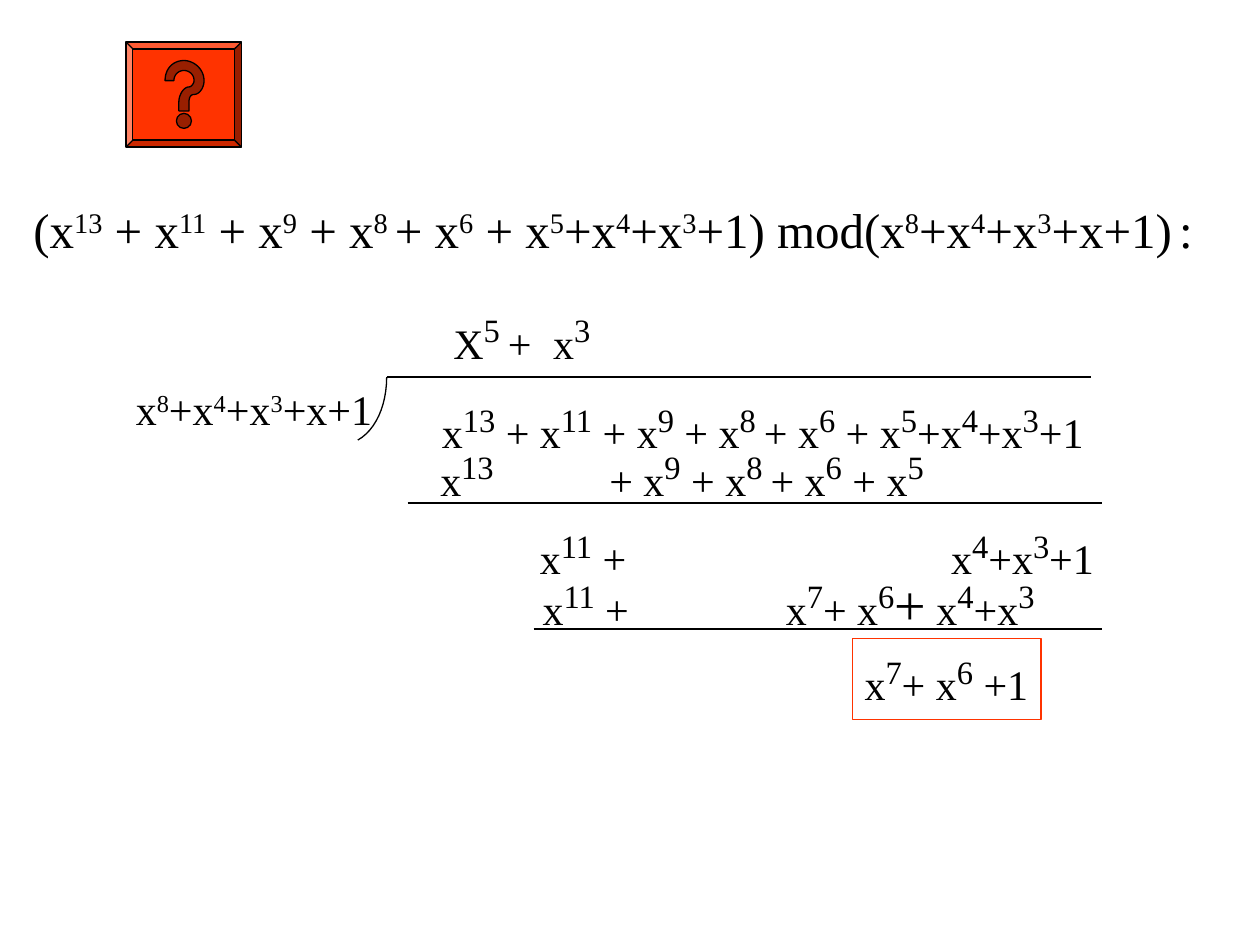
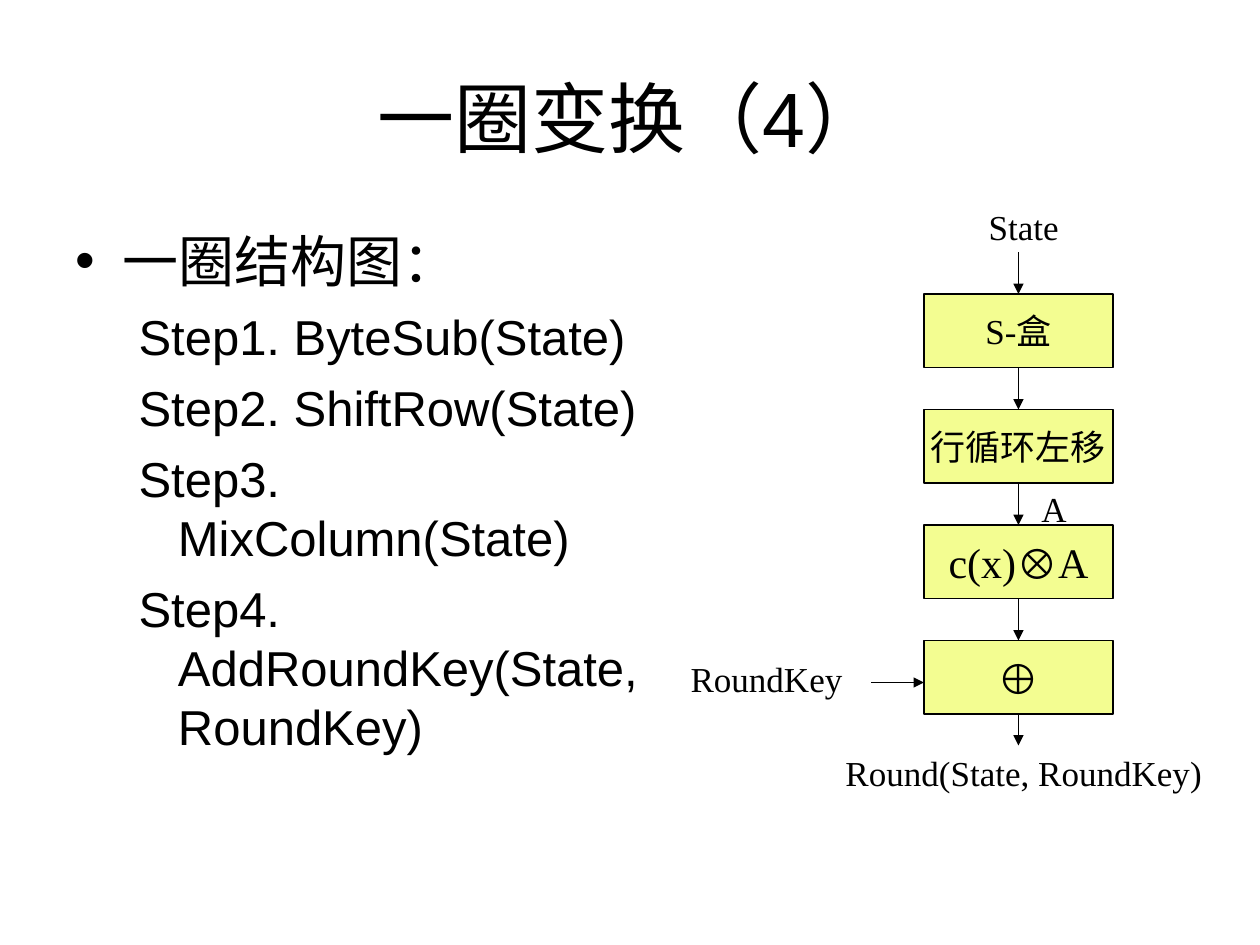
import pptx
import pptx.util
import pptx.dml.color
import pptx.enum.shapes
import pptx.enum.text
import pptx.oxml.ns
from lxml import etree

Pt = pptx.util.Pt
SHAPE = pptx.enum.shapes.MSO_SHAPE
ALIGN = pptx.enum.text.PP_ALIGN
ANCHOR = pptx.enum.text.MSO_ANCHOR

COLORS = {
    "ink": "000000",
    "red": "FF3300",
    "dark red": "991F00",
    "box": "F3FD91",
}
SERIF, SANS = "Times New Roman", "Arial"


def rgb(name):
    return pptx.dml.color.RGBColor.from_string(COLORS[name])


def add_xml(parent, tag, **attributes):
    return etree.SubElement(parent, pptx.oxml.ns.qn(tag), attributes)


def polynomial(markup, power_size=32):
    """Turn "x{8}+x" into runs, with the parts in braces raised."""
    parts = markup.replace("}", "{").split("{")
    return [(part, {"size": power_size, "raised": True} if i % 2 else {})
            for i, part in enumerate(parts) if part]


def write(paragraph, text, *, font=SERIF, size=24, align=ALIGN.LEFT,
          tab=None, bullet=True, level=0, before=0):
    """Fill a paragraph with a string or a list of (string, run format)."""
    paragraph.level = level
    paragraph.alignment = align
    paragraph.space_before = Pt(before)
    properties = paragraph._p.get_or_add_pPr()
    if not bullet:
        add_xml(properties, "a:buNone")
    if tab:
        stops = add_xml(properties, "a:tabLst")
        add_xml(stops, "a:tab", pos=str(Pt(tab)), algn="l")
    for part, style in [(text, {})] if isinstance(text, str) else text:
        run = paragraph.add_run()
        run.text = part
        run.font.name = style.get("font", font)
        run.font.size = Pt(style.get("size", size))
        run.font.color.rgb = rgb("ink")
        if style.get("raised"):
            run._r.get_or_add_rPr().set("baseline", "30000")


def curve_points(start, control1, control2, end, steps=12):
    """Sample a cubic curve, leaving out its start."""
    for step in range(1, steps + 1):
        t = step / steps
        weights = ((1 - t) ** 3, 3 * t * (1 - t) ** 2, 3 * t * t * (1 - t), t ** 3)
        yield tuple(sum(w * p[axis] for w, p in zip(weights, (start, control1, control2, end)))
                    for axis in (0, 1))


class Deck:
    def __init__(self):
        self.presentation = pptx.Presentation()
        self.presentation.slide_width = Pt(720)
        self.presentation.slide_height = Pt(540)
        self.slide = None

    def new_slide(self, layout):
        self.slide = self.presentation.slides.add_slide(
            self.presentation.slide_layouts[layout])

    def placeholder(self, index, left, top, width, height, anchor):
        holder = self.slide.placeholders[index]
        holder.left, holder.top = Pt(left), Pt(top)
        holder.width, holder.height = Pt(width), Pt(height)
        frame = holder.text_frame
        frame.auto_size = pptx.enum.text.MSO_AUTO_SIZE.NONE
        frame.vertical_anchor = anchor
        return frame

    def label(self, text, left, top, width, height, **style):
        box = self.slide.shapes.add_textbox(Pt(left), Pt(top), Pt(width), Pt(height))
        box.text_frame.word_wrap = True
        write(box.text_frame.paragraphs[0], text, **style)

    def paint(self, shape, fill, line):
        shape.shadow.inherit = False
        if fill:
            shape.fill.solid()
            shape.fill.fore_color.rgb = rgb(fill)
        else:
            shape.fill.background()
        shape.line.color.rgb = rgb(line)
        shape.line.width = Pt(0.75)

    def shape(self, kind, left, top, width, height, fill=None, line="ink",
              text=None, anchor=ANCHOR.MIDDLE, **style):
        shape = self.slide.shapes.add_shape(kind, Pt(left), Pt(top), Pt(width), Pt(height))
        self.paint(shape, fill, line)
        if text:
            shape.text_frame.word_wrap = False
            shape.text_frame.vertical_anchor = anchor
            write(shape.text_frame.paragraphs[0], text, **style)
        return shape

    def outline(self, start, segments, fill=None, closed=False):
        """Draw segments: one point makes a line, three make a curve."""
        points = [start]
        for segment in segments:
            points += segment if len(segment) == 1 else curve_points(points[-1], *segment)
        builder = self.slide.shapes.build_freeform(Pt(start[0]), Pt(start[1]), scale=1.0)
        builder.add_line_segments([(Pt(x), Pt(y)) for x, y in points[1:]], close=closed)
        self.paint(builder.convert_to_shape(), fill, "ink")

    def line(self, x1, y1, x2, y2, arrow=False, source=None, target=None):
        link = self.slide.shapes.add_connector(
            pptx.enum.shapes.MSO_CONNECTOR.STRAIGHT, Pt(x1), Pt(y1), Pt(x2), Pt(y2))
        if source:
            link.begin_connect(source, 2)
        if target:
            link.end_connect(target, 0)
        link.line.color.rgb = rgb("ink")
        link.line.width = Pt(0.75)
        if arrow:
            add_xml(link.line._get_or_add_ln(), "a:tailEnd", type="triangle")
        add_xml(link._element.spPr, "a:effectLst")


def help_button(deck):
    button = deck.shape(SHAPE.BEVEL, 72, 24, 66, 60, fill="red")
    button.adjustments[0] = 0.066
    deck.shape(SHAPE.OVAL, 100.8, 64.8, 8.6, 8.6, fill="dark red")
    deck.outline((108, 63.4), [
        [(108, 58.3)],
        [(108, 56.2), (108.7, 54), (110.9, 54)],
        [(113.8, 54), (116.6, 50.4), (116.6, 46.1)],
        [(116.6, 39.6), (110.9, 34.6), (105.1, 34.6)],
        [(98.6, 34.6), (94.3, 39.6), (94.3, 46.1)],
        [(99.4, 46.1)],
        [(99.4, 42.5), (102.2, 40.3), (105.1, 40.3)],
        [(108, 40.3), (110.9, 42.5), (110.9, 46.1)],
        [(110.9, 47.5), (109.4, 49.7), (108, 49.7)],
        [(105.1, 49.7), (102.2, 54), (102.2, 58.3)],
        [(102.2, 63.4)],
    ], fill="dark red", closed=True)


def division_slide(deck):
    deck.new_slide(6)
    help_button(deck)
    deck.label(polynomial("(x{13} + x{11} + x{9} + x{8 }+ x{6} + x{5}+x{4}+x{3}+1)"
                          " mod(x{8}+x{4}+x{3}+x+1){ }:", 28),
               12, 110.5, 702, 41, size=28)
    deck.label(polynomial("x{8}+x{4}+x{3}+x+1", 24), 70.5, 215.5, 156, 36)

    last_product = (polynomial("x{11} +\tx{7}+ x{6}") + [("+", {"size": 32})]
                    + polynomial(" x{4}+x{3}"))
    rows = [
        (polynomial("X{5 }+\tx{3}"), 252, 170, 102, 57),
        (polynomial("x{13} + x{11} + x{9} + x{8 }+ x{6} + x{5}+x{4}+x{3}+1"),
         245.5, 221, 390, None),
        (polynomial("x{13}\t+ x{9} + x{8 }+ x{6} + x{5}"), 244.5, 248, 300, 96.6),
        (polynomial("x{11} +\tx{4}+x{3}+1"), 301.5, 293, 340, 235),
        (last_product, 303, 322, 305, 139),
    ]
    for terms, left, top, width, tab in rows:
        deck.label(terms, left, top, width, 46, tab=tab)
    deck.shape(SHAPE.RECTANGLE, 487, 365, 108, 46, line="red",
               text=polynomial("x{7}+ x{6} +1"), anchor=ANCHOR.TOP)

    for left, right, y in ((221, 623.5, 215.5), (233, 629.5, 287.5), (305, 629.5, 359.5)):
        deck.line(left, y, right, y)
    deck.outline((204.5, 251.5), [[(214.5, 246), (221, 232), (221, 215.5)]])


def round_slide(deck):
    deck.new_slide(1)
    title = deck.placeholder(0, 36, 21.6, 648, 90, ANCHOR.MIDDLE)
    write(title.paragraphs[0], "一圈变换（4）", font=SANS, size=44, align=ALIGN.CENTER)

    steps = deck.placeholder(1, 36, 126, 358.5, 356.5, ANCHOR.TOP)
    write(steps.paragraphs[0], "一圈结构图：", font=SANS, size=32)
    for number, call in enumerate(("ByteSub(State)", "ShiftRow(State)", "MixColumn(State)",
                                   "AddRoundKey(State, RoundKey)"), 1):
        write(steps.add_paragraph(), f"Step{number}. {call}", font=SANS, size=28,
              level=1, bullet=False, before=7)

    left, top, width, height, pitch = 528, 168, 108, 42, 66
    middle = left + width / 2
    stages = [
        ("S-盒", 20),
        ("行循环左移", 20),
        ([("c(x)", {}), ("⊗", {"font": SANS}), ("A", {})], 24),
        ([("⊕", {"font": SANS})], 24),
    ]
    previous, arrow_start = None, 144
    for i, (operation, size) in enumerate(stages):
        y = top + i * pitch
        stage = deck.shape(SHAPE.RECTANGLE, left, y, width, height, fill="box",
                           text=operation, size=size, align=ALIGN.CENTER)
        deck.line(middle, arrow_start, middle, y, arrow=True, source=previous, target=stage)
        previous, arrow_start = stage, y + height
    deck.line(middle, arrow_start, middle, 426, arrow=True, source=previous)
    deck.line(498, 390, left, 390, arrow=True)

    for name, x, y, label_width, align in (
            ("State", 546, 114, 78, ALIGN.CENTER),
            ("A", 588, 275, 30, ALIGN.LEFT),
            ("RoundKey", 384, 372, 108, ALIGN.CENTER),
            ("Round(State, RoundKey)", 474, 426, 222, ALIGN.CENTER)):
        deck.label(name, x, y, label_width, 31.5, size=20, align=align)


def main():
    deck = Deck()
    division_slide(deck)
    round_slide(deck)
    deck.presentation.save("out.pptx")


if __name__ == "__main__":
    main()
